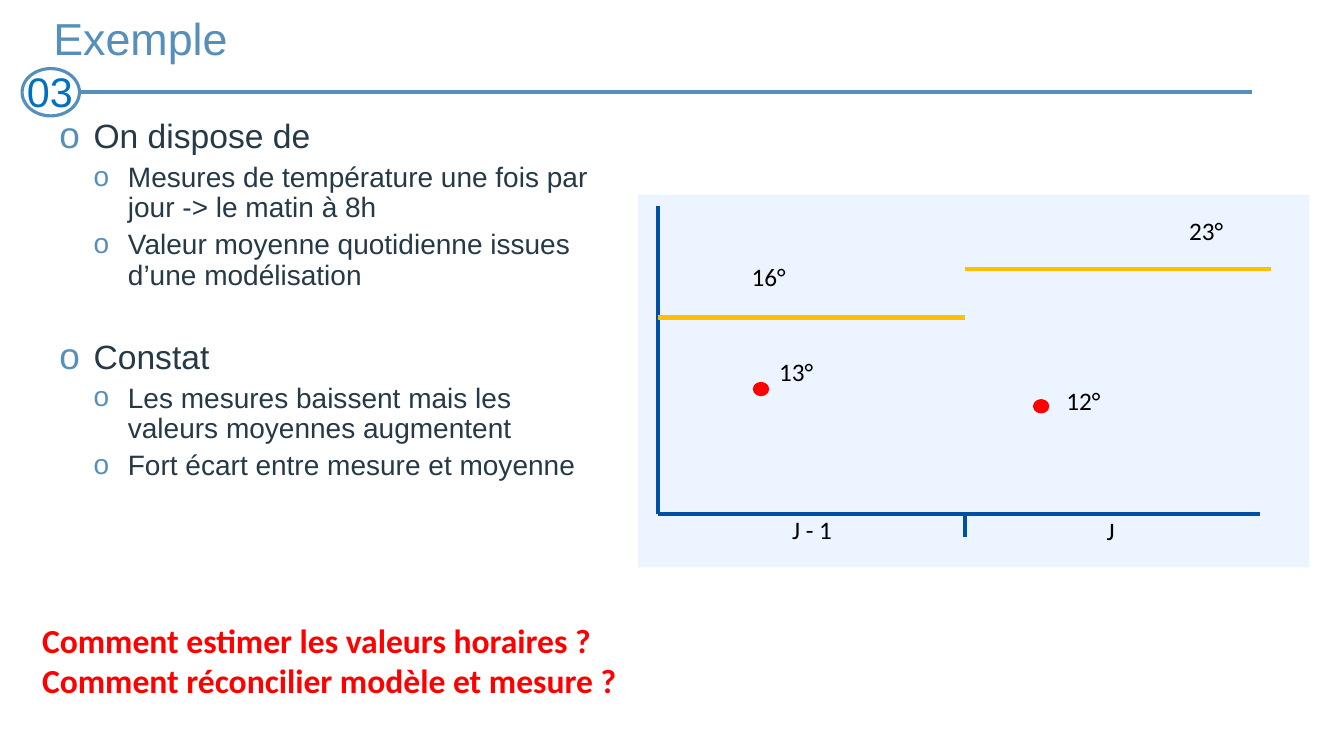
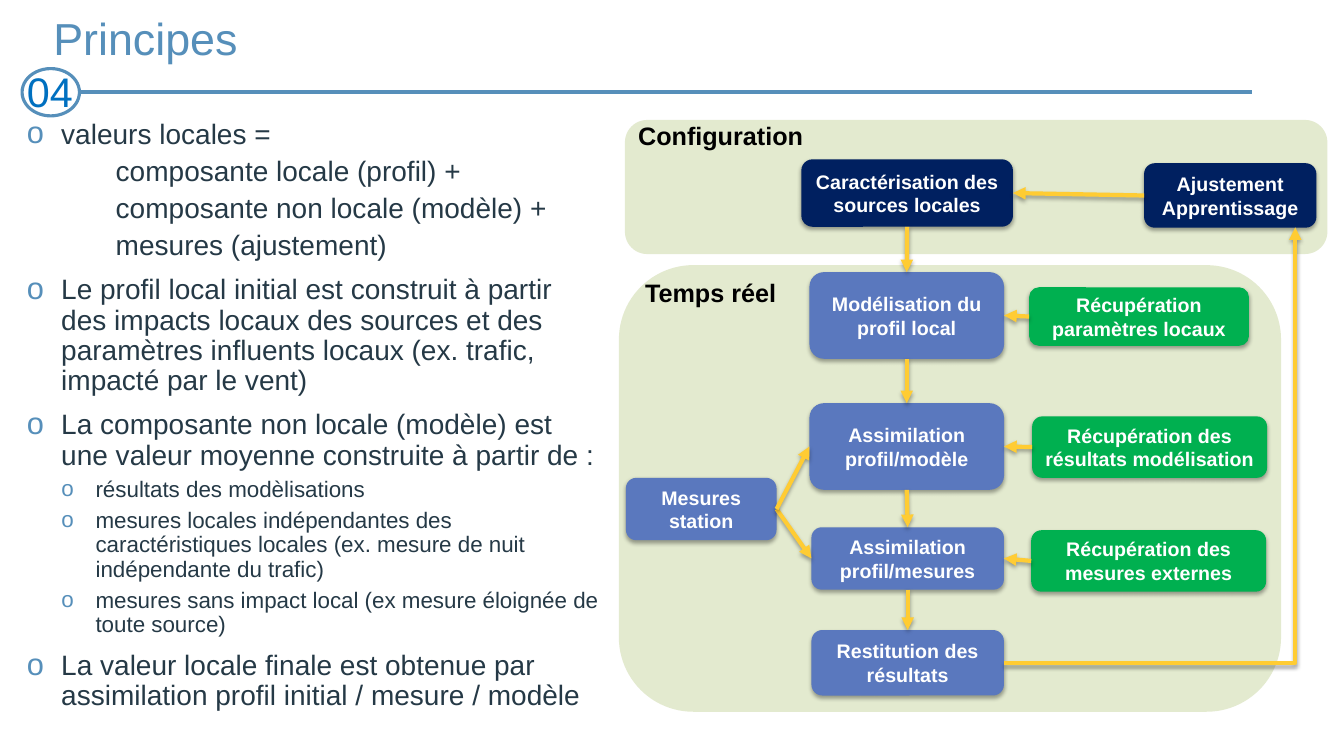
from dataclasses import dataclass
from typing import NamedTuple

from lxml.etree import SubElement
from pptx import Presentation
from pptx.dml.color import RGBColor
from pptx.enum.shapes import MSO_CONNECTOR, MSO_SHAPE
from pptx.enum.text import MSO_ANCHOR, MSO_AUTO_SIZE, PP_ALIGN
from pptx.oxml.ns import qn
from pptx.util import Pt

STEEL, SLATE, PAGE_BLUE = "568FBA", "253946", "0070C0"
RED, BLACK, WHITE = "FF0000", "000000", "FFFFFF"
AXIS, AMBER, PLOT = "004FA3", "FFC000", "69B0FF"
NAVY, BLUE, GREEN, OLIVE, ARROW = "002060", "5A78BE", "00B050", "74960F", "FFCC33"
TOP, LEFT, BOTTOM, RIGHT = range(4)


class Frame(NamedTuple):
    left: float
    top: float
    width: float
    height: float


class Point(NamedTuple):
    x: float
    y: float


@dataclass(frozen=True)
class Font:
    size: float
    color: str
    name: str = "Arial"
    bold: bool = False


@dataclass(frozen=True)
class Level:
    margin: float
    hanging: float
    before: float
    bullet_percent: int


@dataclass(frozen=True)
class Entry:
    text: str
    level: int
    size: float


@dataclass(frozen=True)
class Step:
    text: str
    color: str
    frame: Frame


@dataclass(frozen=True)
class Link:
    start: str
    start_side: int
    end: str
    end_side: int


LEVELS = {
    0: Level(24.5, 24.5, 10, 110),
    1: Level(49, 24.5, 5, 100),
    3: Level(63.4, 0, 5, 0),
}
LABEL = Font(18, BLACK, "Calibri")
HEADING = Font(18, BLACK, bold=True)
STEP_FONT = Font(14, WHITE, bold=True)


def colour(value):
    return RGBColor.from_string(value)


def points(values):
    return [Pt(value) for value in values]


def style(para, font):
    for span in para.runs:
        span.font.name = font.name
        span.font.size = Pt(font.size)
        span.font.bold = font.bold
        span.font.color.rgb = colour(font.color)


def set_effects(item, shadow):
    """Give a shape or connector the soft drop shadow, or none at all."""
    effects = SubElement(item._element.spPr, qn("a:effectLst"))
    if shadow:
        outer = SubElement(effects, qn("a:outerShdw"), blurRad=str(Pt(3.1)),
                           dist=str(Pt(1.8)), dir="5400000", rotWithShape="0")
        tint = SubElement(outer, qn("a:srgbClr"), val=BLACK)
        SubElement(tint, qn("a:alpha"), val="35000")


def add_text(page, frame, text, font, wrap=True, grow=False, inset=True):
    box = page.shapes.add_textbox(*points(frame))
    body = box.text_frame
    body.text = text
    body.word_wrap = wrap
    body.auto_size = MSO_AUTO_SIZE.SHAPE_TO_FIT_TEXT if grow else MSO_AUTO_SIZE.NONE
    if not inset:
        body.margin_left = body.margin_top = body.margin_right = body.margin_bottom = 0
    for para in body.paragraphs:
        style(para, font)
    return box


def add_form(page, kind, frame, fill=None, opacity=100, line=None, weight=3, shadow=False):
    form = page.shapes.add_shape(kind, *points(frame))
    if fill:
        form.fill.solid()
        form.fill.fore_color.rgb = colour(fill)
        if opacity < 100:
            tint = form._element.spPr.find(qn("a:solidFill"))[0]
            SubElement(tint, qn("a:alpha"), val=str(opacity * 1000))
    else:
        form.fill.background()
    if line:
        form.line.color.rgb = colour(line)
        form.line.width = Pt(weight)
    else:
        form.line.fill.background()
    set_effects(form, shadow)
    return form


def add_line(page, start, end, color, weight=3, arrow=False, kind=MSO_CONNECTOR.STRAIGHT):
    line = page.shapes.add_connector(kind, *points((*start, *end)))
    line.line.color.rgb = colour(color)
    line.line.width = Pt(weight)
    if arrow:
        SubElement(line._element.spPr.find(qn("a:ln")), qn("a:tailEnd"), type="triangle")
    set_effects(line, arrow)
    return line


def add_outline(page, frame, entries):
    """Write a multi-level bulleted list."""
    box = add_text(page, frame, "\n".join(entry.text for entry in entries), Font(20, SLATE))
    for para, entry in zip(box.text_frame.paragraphs, entries):
        level = LEVELS[entry.level]
        style(para, Font(entry.size, SLATE))
        para.level = entry.level
        para.line_spacing = 0.9
        para.space_before = Pt(level.before)
        properties = para._p.get_or_add_pPr()
        properties.set("marL", str(Pt(level.margin)))
        properties.set("indent", str(-Pt(level.hanging)))
        if level.bullet_percent:
            tint = SubElement(properties, qn("a:buClr"))
            SubElement(tint, qn("a:srgbClr"), val=STEEL)
            SubElement(properties, qn("a:buSzPct"), val=str(level.bullet_percent * 1000))
            SubElement(properties, qn("a:buFont"), typeface="Arial")
            SubElement(properties, qn("a:buChar"), char="o")


def add_page(deck, title, number):
    """Start a slide with its title, rule and circled number."""
    page = deck.slides.add_slide(deck.slide_layouts[6])
    add_form(page, MSO_SHAPE.OVAL, Frame(15.8, 49, 41, 33.8), line=STEEL, weight=2.25)
    add_line(page, Point(56.8, 65.7), Point(894.2, 65.7), STEEL, 2.25)
    heading = add_text(page, Frame(31, 3.6, 886.3, 51.1), title, Font(32, STEEL))
    heading.text_frame.vertical_anchor = MSO_ANCHOR.MIDDLE
    badge = add_text(page, Frame(12.2, 47.5, 66.2, 33.8), number, Font(29.5, PAGE_BLUE))
    for box in (heading, badge):
        box.text_frame.paragraphs[0].line_spacing = 0.9
    return page


def add_temperature_plot(page):
    origin = Point(470.2, 367.2)
    day_width = 218.9
    add_form(page, MSO_SHAPE.RECTANGLE, Frame(455.8, 139, 479.5, 266.4), PLOT, 12)
    day_end = Point(origin.x + day_width, origin.y)
    for start, end in (
        (Point(origin.x, 146.9), origin),
        (origin, Point(900, origin.y)),
        (day_end, Point(day_end.x, 383.8)),
    ):
        add_line(page, start, end, AXIS)
    for day, height in enumerate((226.8, 192.2)):
        left = origin.x + day * day_width
        add_line(page, Point(left, height), Point(left + day_width, height), AMBER)
    for left, top in ((539.3, 274.3), (739.4, 286.6)):
        add_form(page, MSO_SHAPE.OVAL, Frame(left, top, 8.6, 7.2), RED, line=RED)
    for text, frame in (
        ("J - 1", Frame(558.7, 363.6, 53.3, 34.6)),
        ("J", Frame(783.4, 364.3, 30.2, 34.6)),
        ("13°", Frame(549.4, 251.3, 57.6, 44.6)),
        ("12°", Frame(754.6, 271.4, 57.6, 44.6)),
        ("16°", Frame(529.9, 182.9, 57.6, 44.6)),
        ("23°", Frame(842.4, 150.5, 57.6, 44.6)),
    ):
        add_text(page, frame, text, LABEL, wrap=False, grow=True)


STEPS = {
    "sources": Step("Caractérisation des sources locales", NAVY, Frame(572.4, 113.8, 151.2, 48.2)),
    "tuning": Step("Ajustement\nApprentissage", NAVY, Frame(817.2, 116.6, 123.1, 46.1)),
    "profile": Step("Modélisation du profil local", BLUE, Frame(578.2, 194.4, 139, 61.9)),
    "model": Step("Assimilation profil/modèle", BLUE, Frame(578.2, 288, 139, 61.9)),
    "measures": Step("Assimilation profil/mesures", BLUE, Frame(579.6, 376.6, 137.5, 44.6)),
    "results": Step("Restitution des résultats", BLUE, Frame(579.6, 450, 137.5, 46.8)),
    "station": Step("Mesures station", BLUE, Frame(447.1, 341.3, 107.6, 44.6)),
    "settings": Step("Récupération paramètres locaux", GREEN, Frame(735.1, 205.2, 157, 41.8)),
    "modelling": Step("Récupération des résultats modélisation", GREEN,
                      Frame(737.3, 297.4, 167.8, 43.9)),
    "external": Step("Récupération des mesures externes", GREEN,
                     Frame(736.6, 378.7, 167.8, 43.9)),
}
CHAIN = ("sources", "profile", "model", "measures", "results")
LINKS = [Link(start, BOTTOM, end, TOP) for start, end in zip(CHAIN, CHAIN[1:])] + [
    Link("tuning", LEFT, "sources", RIGHT),
    Link("settings", LEFT, "profile", RIGHT),
    Link("modelling", LEFT, "model", RIGHT),
    Link("external", LEFT, "measures", RIGHT),
    Link("station", RIGHT, "measures", LEFT),
    Link("station", RIGHT, "model", LEFT),
]


def side_point(frame, side):
    across = {LEFT: 0, RIGHT: 1}.get(side, 0.5)
    down = {TOP: 0, BOTTOM: 1}.get(side, 0.5)
    return Point(frame.left + across * frame.width, frame.top + down * frame.height)


def add_process(page):
    for panel in (Frame(442.1, 189.4, 473, 319), Frame(446.4, 85.7, 501.8, 95.8)):
        add_form(page, MSO_SHAPE.ROUNDED_RECTANGLE, panel, OLIVE, 20)
    boxes = {}
    for name, step in STEPS.items():
        box = add_form(page, MSO_SHAPE.ROUNDED_RECTANGLE, step.frame, step.color, shadow=True)
        box.text_frame.text = step.text
        box.text_frame.word_wrap = True
        box.text_frame.vertical_anchor = MSO_ANCHOR.MIDDLE
        for para in box.text_frame.paragraphs:
            para.alignment = PP_ALIGN.CENTER
            style(para, STEP_FONT)
        boxes[name] = box
    for link in LINKS:
        line = add_line(page, side_point(STEPS[link.start].frame, link.start_side),
                        side_point(STEPS[link.end].frame, link.end_side), ARROW, arrow=True)
        line.begin_connect(boxes[link.start], link.start_side)
        line.end_connect(boxes[link.end], link.end_side)
    feedback = add_line(page, side_point(STEPS["results"].frame, RIGHT), Point(925.2, 162.4),
                        ARROW, arrow=True, kind=MSO_CONNECTOR.ELBOW)
    feedback._element.spPr.find(qn("a:prstGeom")).set("prst", "bentConnector2")
    add_text(page, Frame(460.8, 198, 93.6, 33.1), "Temps réel", HEADING, wrap=False, inset=False)
    add_text(page, Frame(455.8, 85.7, 175, 42.5), "Configuration", HEADING,
             wrap=False, inset=False)


def main():
    deck = Presentation()
    deck.slide_width, deck.slide_height = Pt(960), Pt(540)

    example = add_page(deck, "Exemple", "03")
    add_outline(example, Frame(35.3, 82.1, 414, 169.2), [
        Entry("On dispose de", 0, 24),
        Entry("Mesures de température une fois par jour -> le matin à 8h", 1, 20),
        Entry("Valeur moyenne quotidienne issues d’une modélisation", 1, 20),
    ])
    add_outline(example, Frame(35.3, 239.8, 406.1, 198.7), [
        Entry("Constat", 0, 24),
        Entry("Les mesures baissent mais les valeurs moyennes augmentent", 1, 20),
        Entry("Fort écart entre mesure et moyenne", 1, 20),
    ])
    add_text(example, Frame(23, 439.2, 434.2, 94.3),
             "Comment estimer les valeurs horaires ?\nComment réconcilier modèle et mesure ?",
             Font(24, RED, "Calibri", True), wrap=False, grow=True)
    add_temperature_plot(example)

    principles = add_page(deck, "Principes", "04")
    add_outline(principles, Frame(12.2, 82.1, 424.8, 457.9), [
        Entry("valeurs locales =", 0, 20),
        Entry("composante locale (profil) +", 3, 20),
        Entry("composante non locale (modèle) +", 3, 20),
        Entry("mesures (ajustement)", 3, 20),
        Entry("Le profil local initial est construit à partir des impacts locaux des sources et "
              "des paramètres influents locaux (ex. trafic, impacté par le vent)", 0, 20),
        Entry("La composante non locale (modèle) est une valeur moyenne construite à partir de :",
              0, 20),
        Entry("résultats des modèlisations", 1, 16),
        Entry("mesures locales indépendantes des caractéristiques locales "
              "(ex. mesure de nuit indépendante du trafic)", 1, 16),
        Entry("mesures sans impact local (ex mesure éloignée de toute source)", 1, 16),
        Entry("La valeur locale finale est obtenue par assimilation "
              "profil initial / mesure / modèle", 0, 20),
    ])
    add_process(principles)
    deck.save("out.pptx")


if __name__ == "__main__":
    main()
